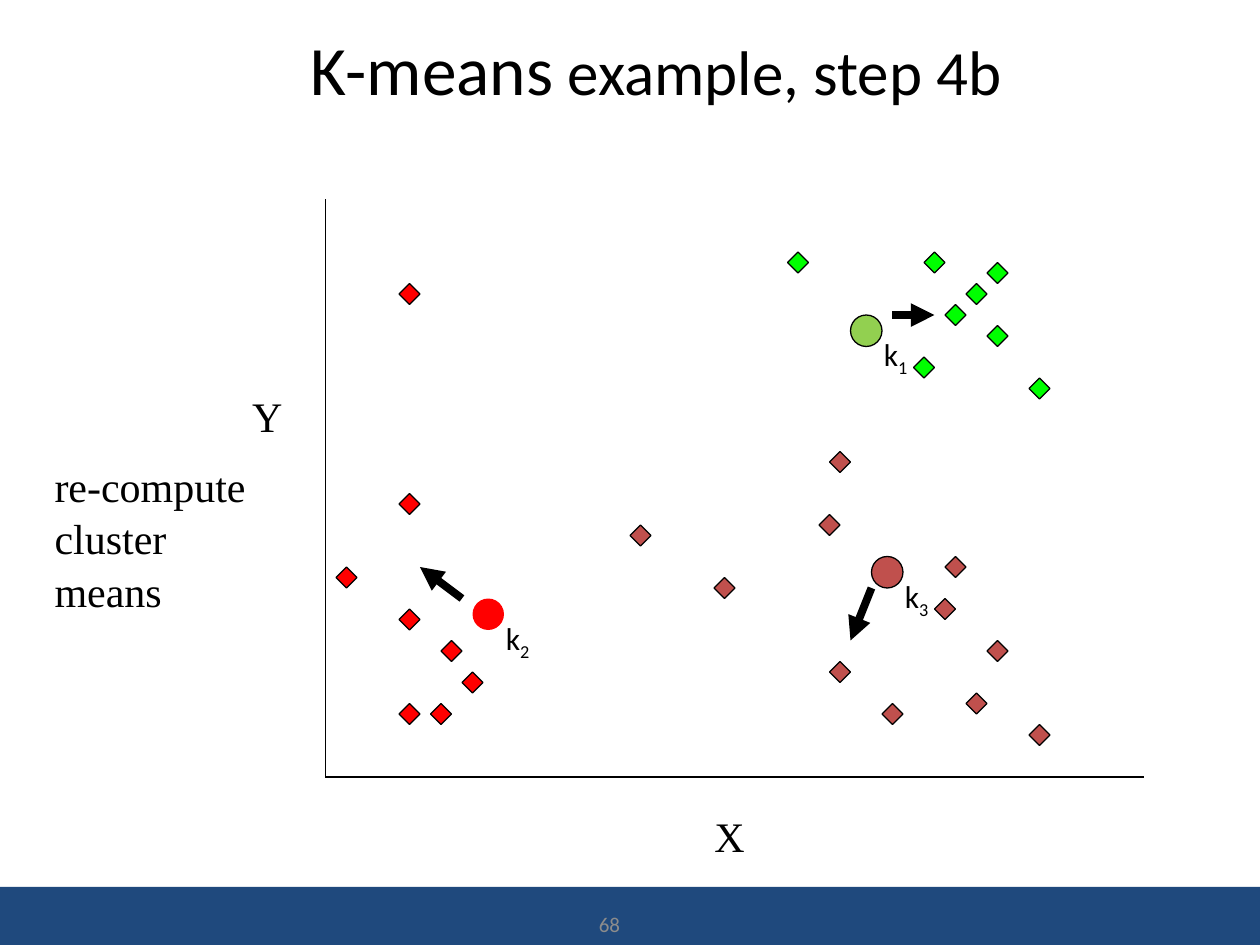
from dataclasses import dataclass

from lxml.etree import SubElement
from pptx import Presentation
from pptx.dml.color import RGBColor
from pptx.enum.shapes import MSO_CONNECTOR, MSO_SHAPE
from pptx.enum.text import MSO_ANCHOR, PP_ALIGN
from pptx.oxml.ns import qn
from pptx.util import Cm, Pt


@dataclass(frozen=True)
class Theme:
    ink: str = "000000"
    band: str = "1F497D"
    muted: str = "8C8C8C"
    green: str = "00FF00"
    light_green: str = "92D050"
    red: str = "FF0000"
    brown: str = "C0504D"
    sans: str = "Calibri"
    serif: str = "Times New Roman"
    title_big: float = 39.6
    title: float = 36
    note: float = 24
    label: float = 18
    number: float = 12
    thin: float = 0.75
    thick: float = 4.5


T = Theme()
UNIT = Cm(2.54) / 12  # the plot grid has twelve steps to the inch

# Upper left corners of the markers, in grid units from the plot's upper left
POINTS = {
    T.red: [(11, 42), (13, 45), (10, 48), (7, 39), (7, 8), (7, 28), (7, 48), (1, 35)],
    T.green: [(57, 5), (63, 6), (61, 8), (59, 10), (63, 12), (67, 17), (44, 5), (56, 15)],
    T.brown: [(29, 31), (48, 24), (48, 44), (53, 48), (58, 38), (47, 30),
              (37, 36), (63, 42), (61, 47), (59, 34), (67, 50)],
}
# Index, position, fill, outline, arrow start, arrow end
MEANS = [
    ("1", (50, 11), T.light_green, T.ink, (54, 11), (58, 11)),
    ("2", (14, 38), T.red, None, (13, 38), (9, 35)),
    ("3", (52, 34), T.brown, T.ink, (52, 37), (50, 42)),
]


def grid(*values):
    return [round(v * UNIT) for v in values]


def add_shape(shapes, kind, box, fill, line=None):
    sp = shapes.add_shape(kind, *box)
    sp.shadow.inherit = False
    sp.fill.solid()
    sp.fill.fore_color.rgb = RGBColor.from_string(fill)
    if line:
        sp.line.color.rgb = RGBColor.from_string(line)
        sp.line.width = Pt(T.thin)
    else:
        sp.line.fill.background()
    return sp


def add_line(shapes, start, end, width, arrow=False):
    c = shapes.add_connector(MSO_CONNECTOR.STRAIGHT, *start, *end)
    c.line.color.rgb = RGBColor.from_string(T.ink)
    c.line.width = Pt(width)
    if arrow:
        SubElement(c.line._get_or_add_ln(), qn("a:tailEnd"), type="triangle")
    SubElement(c._element.spPr, qn("a:effectLst"))


def add_text(shapes, box, text, font, size, color=T.ink, anchor=MSO_ANCHOR.TOP):
    tf = shapes.add_textbox(*box).text_frame
    tf.word_wrap = True
    tf.vertical_anchor = anchor
    p = tf.paragraphs[0]
    p.add_run().text = text
    p.font.name, p.font.size = font, Pt(size)
    p.font.color.rgb = RGBColor.from_string(color)
    return p


def add_title(s, left, top, width, height):
    sp = s.shapes.title
    sp.left, sp.top, sp.width, sp.height = left, top, width, height
    tf = sp.text_frame
    tf.vertical_anchor = MSO_ANCHOR.MIDDLE
    p = tf.paragraphs[0]
    p.alignment = PP_ALIGN.CENTER
    p.font.name = T.sans
    p.font.color.rgb = RGBColor.from_string(T.ink)
    for text, size in (("K-means", T.title_big), (" example, step 4b", T.title)):
        r = p.add_run()
        r.text = text
        r.font.size = Pt(size)


def add_footer(s, left, top, width, height):
    add_shape(s.shapes, MSO_SHAPE.RECTANGLE, (left, top, width, height), T.band)
    box = (left + Cm(10.16), top + Cm(0.33), Cm(2.59), Cm(0.84))
    p = add_text(s.shapes, box, "68", T.sans, T.number, T.muted, MSO_ANCHOR.MIDDLE)
    p.alignment = PP_ALIGN.RIGHT


def add_axes(s, left, top, width, height):
    shapes = s.shapes.add_group_shape().shapes
    corner = (left, top + height)
    add_line(shapes, (left, top), corner, T.thin)
    add_line(shapes, corner, (left + width, top + height), T.thin)
    for text, dx, dy in (("X", Cm(7.59), height + Cm(0.55)), ("Y", -Cm(1.73), Cm(3.73))):
        add_text(shapes, (left + dx, top + dy, Cm(1.12), Cm(1.27)), text, T.serif, T.note)


def add_mean(s, left, top, index, fill, line):
    shapes = s.shapes.add_group_shape().shapes
    add_shape(shapes, MSO_SHAPE.OVAL, (left, top, *grid(3, 3)), fill, line)
    dx, dy, width, height = grid(2, 1, 7, 6)
    p = add_text(shapes, (left + dx, top + dy, width, height), "k",
                 T.sans, T.label, anchor=MSO_ANCHOR.MIDDLE)
    r = p.add_run()
    r.text = index
    r._r.get_or_add_rPr().set("baseline", "-25000")


def add_plot(s, left, top, width, height):
    def at(point):
        dx, dy = grid(*point)
        return left + dx, top + dy

    for color, points in POINTS.items():
        for point in points:
            add_shape(s.shapes, MSO_SHAPE.DIAMOND, (*at(point), *grid(2, 2)), color, T.ink)
    add_axes(s, left, top, width, height)
    for index, point, fill, line, start, end in MEANS:
        add_line(s.shapes, at(start), at(end), T.thick, arrow=True)
        add_mean(s, *at(point), index, fill, line)


def main():
    prs = Presentation()
    prs.slide_width, prs.slide_height = Cm(25.4), Cm(19.05)
    s = prs.slides.add_slide(prs.slide_layouts[5])
    add_footer(s, 0, Cm(17.88), prs.slide_width, Cm(1.17))
    add_title(s, Cm(1.9), Cm(0.64), Cm(22.66), Cm(1.47))
    add_plot(s, *grid(31, 19, 78, 55))
    p = add_text(s.shapes, (Cm(0.85), Cm(9.1), Cm(5.08), Cm(3.3)),
                 "re-compute cluster means", T.serif, T.note)
    p.line_spacing = 1.05
    prs.save("out.pptx")


if __name__ == "__main__":
    main()
